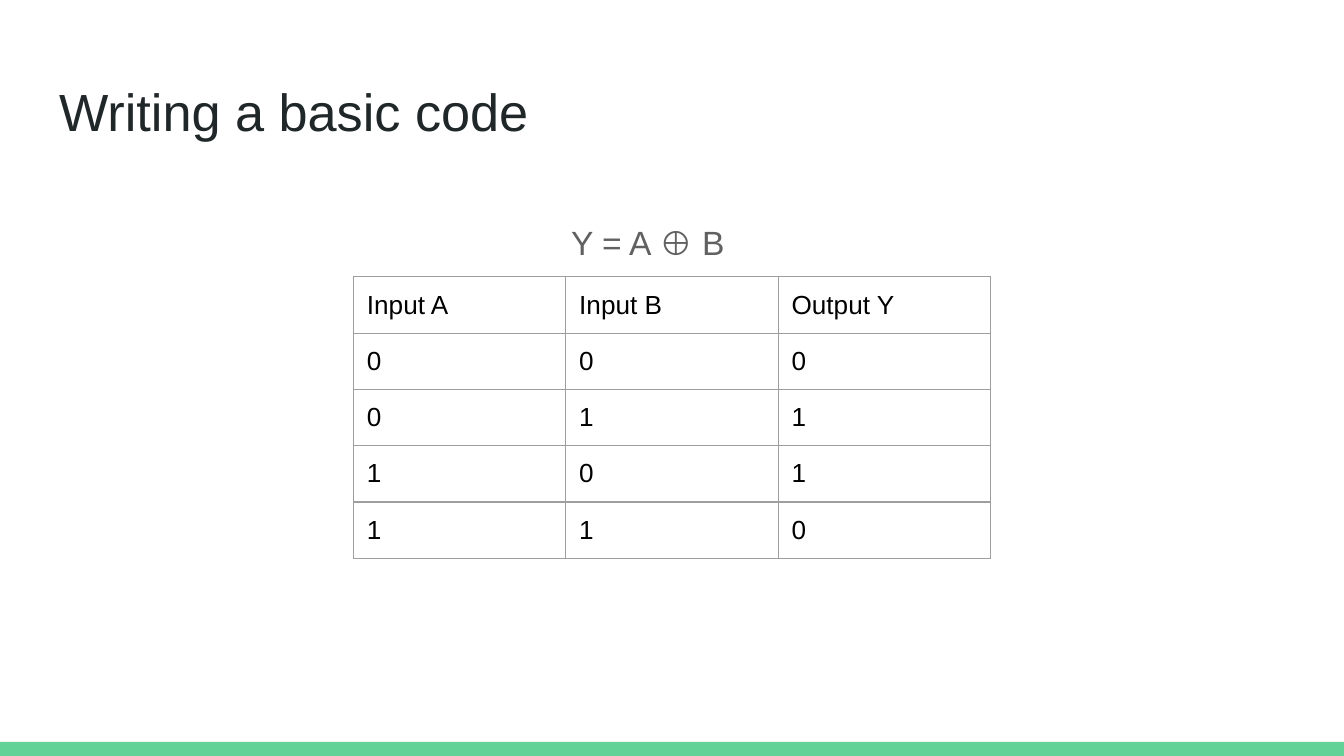
import pptx
import pptx.dml.color
import pptx.enum.shapes
import pptx.enum.text
import pptx.oxml
import pptx.oxml.ns
import pptx.util

Inches = pptx.util.Inches
Pt = pptx.util.Pt
ALIGN = pptx.enum.text.PP_ALIGN

ROWS = [
    ["Input A", "Input B", "Output Y"],
    ["0", "0", "0"],
    ["0", "1", "1"],
    ["1", "0", "1"],
    ["1", "1", "0"],
]


def rgb(value):
    return pptx.dml.color.RGBColor.from_string(value)


def set_attrs(obj, values):
    for name, value in values.items():
        setattr(obj, name, value)


def set_margins(obj):
    sides = ("left", "top", "right", "bottom")
    set_attrs(obj, {f"margin_{side}": Inches(0.1) for side in sides})


def write(tf, text, size, color, **paragraph):
    p = tf.paragraphs[0]
    set_attrs(p, {"alignment": ALIGN.LEFT, **paragraph})
    r = p.add_run()
    r.text = text
    set_attrs(r.font, {"name": "Arial", "size": Pt(size), "bold": False})
    r.font.color.rgb = rgb(color)


def format_frame(tf):
    set_margins(tf)
    set_attrs(tf, {
        "word_wrap": True,
        "auto_size": pptx.enum.text.MSO_AUTO_SIZE.NONE,
        "vertical_anchor": pptx.enum.text.MSO_ANCHOR.TOP,
    })


def add_band(s):
    sp = s.shapes.add_shape(
        pptx.enum.shapes.MSO_SHAPE.RECTANGLE,
        Inches(0), Inches(5.52), Inches(10), Inches(0.11))
    sp.shadow.inherit = False
    sp.fill.solid()
    sp.fill.fore_color.rgb = rgb("63D297")
    sp.line.fill.background()


def set_title(s, text):
    sp = s.shapes.title
    set_attrs(sp, {"left": Inches(0.34), "top": Inches(0.49),
                   "width": Inches(9.32), "height": Inches(0.63)})
    format_frame(sp.text_frame)
    write(sp.text_frame, text, 28, "202729")


def set_borders(cell, color, width):
    props = cell._tc.get_or_add_tcPr()
    for i, side in enumerate(("lnL", "lnR", "lnT", "lnB")):
        props.insert(i, pptx.oxml.parse_xml(
            f'<a:{side} {pptx.oxml.ns.nsdecls("a")} w="{Pt(width)}">'
            f'<a:solidFill><a:srgbClr val="{color}"/></a:solidFill>'
            f'</a:{side}>'))


def add_truth_table(s, rows):
    size = Inches(3.28)
    frame = s.shapes.add_table(
        len(rows), len(rows[0]), Inches(2.63), Inches(2.06), size, size)
    table = frame.table
    set_attrs(table, {"first_row": False, "horz_banding": False})
    for col in table.columns:
        col.width = Inches(1.58)
    for row, texts in zip(table.rows, rows):
        row.height = Inches(0.22)
        for cell, text in zip(row.cells, texts):
            set_margins(cell)
            cell.fill.background()
            set_borders(cell, "9E9E9E", 0.75)
            write(cell.text_frame, text, 14, "000000")
    set_attrs(frame, {"width": size, "height": size})


def add_formula(s, text):
    sp = s.shapes.add_textbox(
        Inches(3.63), Inches(1.51), Inches(2.38), Inches(0.5))
    format_frame(sp.text_frame)
    write(sp.text_frame, text, 18, "616161", alignment=ALIGN.CENTER,
          line_spacing=1.15, space_after=Pt(16))


def main():
    prs = pptx.Presentation()
    width = Inches(10)
    set_attrs(prs, {"slide_width": width, "slide_height": width * 9 // 16})
    s = prs.slides.add_slide(prs.slide_layouts[5])
    s.background.fill.solid()
    s.background.fill.fore_color.rgb = rgb("FFFFFF")
    add_band(s)
    set_title(s, "Writing a basic code")
    add_truth_table(s, ROWS)
    add_formula(s, "Y = A ⊕ B")
    prs.save("out.pptx")


if __name__ == "__main__":
    main()
